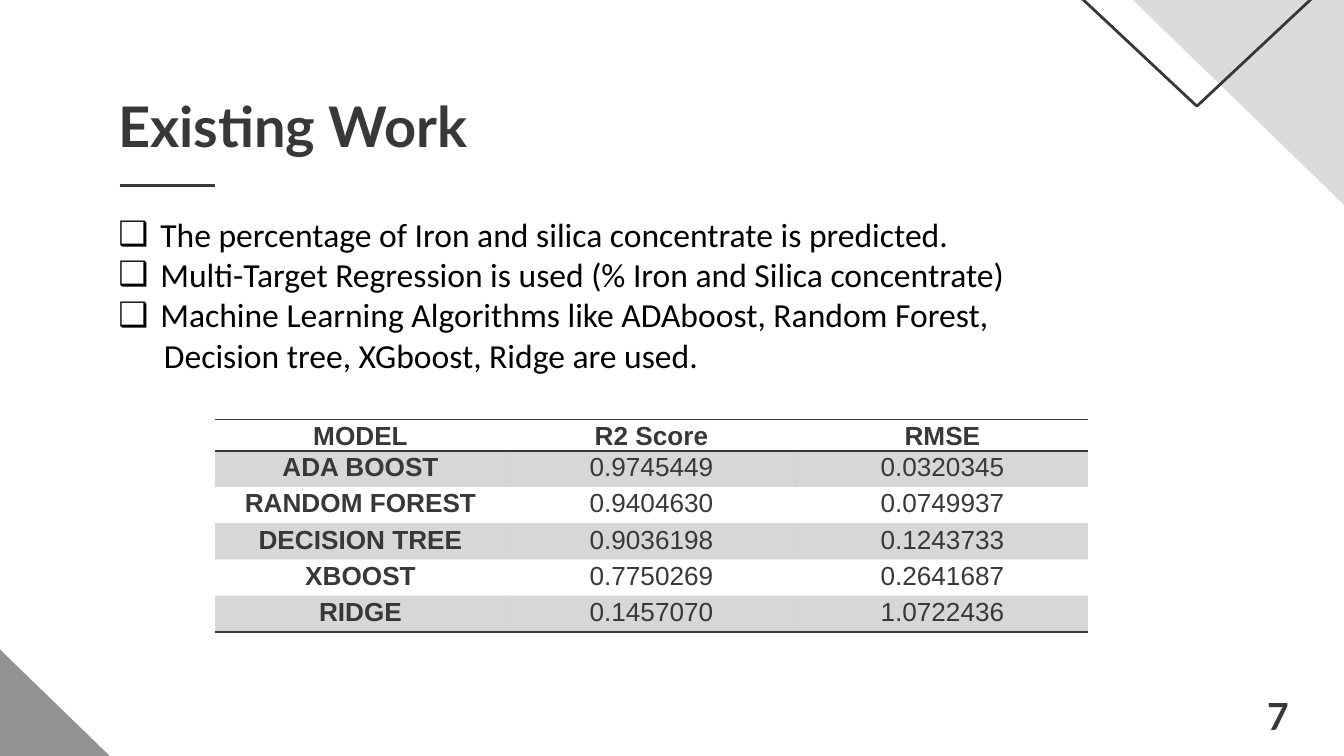
from dataclasses import dataclass
from lxml import etree
from pptx import Presentation, util as u
from pptx.dml.color import RGBColor
from pptx.enum import shapes, text
from pptx.oxml.ns import qn


@dataclass(frozen=True)
class Theme:
    dark: str = "383838"
    mid: str = "929292"
    pale: str = "DBDBDB"
    ink: str = "000000"
    head: str = "Lato"
    body: str = "Calibri"
    data: str = "Arial"
    title_size: int = 30
    number_size: int = 20
    body_size: int = 18
    data_size: int = 14
    line: float = 1.5
    rule: float = 1


T = Theme()
COLUMNS = 100
NO_STYLE = "{2D5ABB26-0587-4C30-8999-92F81FD0307C}"
BULLETS = [
    "The percentage of Iron and silica concentrate is predicted.",
    "Multi-Target Regression is used (% Iron and Silica concentrate)",
    "Machine Learning Algorithms like ADAboost, Random Forest,",
]
CONTINUATION = "Decision tree, XGboost, Ridge are used."
SCORES = [
    ("MODEL", "R2 Score", "RMSE"),
    ("ADA BOOST", "0.9745449", "0.0320345"),
    ("RANDOM FOREST", "0.9404630", "0.0749937"),
    ("DECISION TREE", "0.9036198", "0.1243733"),
    ("XBOOST", "0.7750269", "0.2641687"),
    ("RIDGE", "0.1457070", "1.0722436"),
]

prs = Presentation()
prs.slide_width, prs.slide_height = u.Pt(720), u.Pt(405)
UNIT = prs.slide_width / COLUMNS


def grid(*cells):
    return [u.Emu(round(c * UNIT)) for c in cells]


def rgb(color):
    return RGBColor.from_string(color)


def sub(parent, tag, **attrs):
    return etree.SubElement(parent, qn(tag), attrs)


def style(p, name, size, color, bold=False):
    for r in p.runs:
        r.font.name, r.font.size, r.font.bold = name, u.Pt(size), bold
        r.font.color.rgb = rgb(color)


def frame(sp, inset=1):
    tf = sp.text_frame
    tf.auto_size = text.MSO_AUTO_SIZE.NONE
    tf.vertical_anchor = text.MSO_ANCHOR.TOP
    tf.margin_left = tf.margin_right = grid(1)[0]
    tf.margin_top = tf.margin_bottom = grid(inset)[0]
    return tf


def triangle(s, box, kind, turn=0, fill=None):
    sp = s.shapes.add_shape(kind, *grid(*box))
    sp.rotation, sp.shadow.inherit = turn, False
    if fill:
        sp.fill.solid()
        sp.fill.fore_color.rgb = rgb(fill)
        sp.line.fill.background()
    else:
        sp.fill.background()
        sp.line.color.rgb, sp.line.width = rgb(T.dark), u.Pt(T.line)


def corners(s):
    kinds = shapes.MSO_SHAPE
    triangle(s, (-19.4, 29.5, 37.2, 36.1), kinds.RIGHT_TRIANGLE, fill=T.mid)
    triangle(s, (71, -12.9, 37.2, 36.1), kinds.RIGHT_TRIANGLE, 180, T.pale)
    triangle(s, (59.7, -19.6, 58.7, 27.5), kinds.ISOSCELES_TRIANGLE, 180)


def page_number(s, box, number):
    tf = frame(s.shapes.add_textbox(*grid(*box)), 0.5)
    tf.word_wrap = False
    tf.text = str(number)
    style(tf.paragraphs[0], T.head, T.number_size, T.dark, True)


def heading(s, box, title):
    x, y, w, h = box
    sp = s.shapes.title
    sp.left, sp.top, sp.width, sp.height = grid(*box)
    tf = frame(sp)
    tf.text = title
    p = tf.paragraphs[0]
    p.alignment = text.PP_ALIGN.LEFT
    style(p, T.head, T.title_size, T.dark, True)
    rule_y = y + h + 2.2
    ln = s.shapes.add_connector(shapes.MSO_CONNECTOR.STRAIGHT,
                                *grid(x + 1.1, rule_y, x + 8.2, rule_y))
    ln.line.color.rgb, ln.line.width = rgb(T.dark), u.Pt(T.line)
    sub(ln._element.spPr, "a:effectLst")


def findings(s, box, items, tail):
    sp = s.placeholders[1]
    sp.left, sp.top, sp.width, sp.height = grid(*box)
    tf = frame(sp)
    tf.text = "\n".join([*items, tail])
    for i, p in enumerate(tf.paragraphs):
        p.alignment = text.PP_ALIGN.JUSTIFY
        p.space_before = u.Pt(0)
        pPr = p._p.get_or_add_pPr()
        if i < len(items):
            indent = grid(3.13)[0]
            pPr.set("marL", str(indent))
            pPr.set("indent", str(-indent))
            sub(sub(pPr, "a:buClr"), "a:srgbClr", val=T.ink)
            sub(pPr, "a:buFont", typeface=T.data)
            sub(pPr, "a:buChar", char="❑")
        else:
            pPr.set("marL", str(grid(3.4)[0]))
            pPr.set("indent", "0")
            sub(pPr, "a:buNone")
        style(p, T.body, T.body_size, T.ink)


def border(cell, tag, index):
    ln = etree.Element(qn(tag), w=str(u.Pt(T.rule)))
    sub(sub(ln, "a:solidFill"), "a:srgbClr", val=T.dark)
    cell._tc.get_or_add_tcPr().insert(index, ln)


def score_cell(cell, value, row, col, last):
    cell.margin_left = cell.margin_right = grid(0.7)[0]
    cell.margin_top = cell.margin_bottom = 0
    cell.text = value
    p = cell.text_frame.paragraphs[0]
    p.alignment, p.line_spacing = text.PP_ALIGN.CENTER, 1.07
    style(p, T.data, T.data_size, T.dark, row == 0 or col == 0)
    if row % 2:
        cell.fill.solid()
        cell.fill.fore_color.rgb = rgb(T.dark)
        color = cell._tc.tcPr.find(".//" + qn("a:srgbClr"))
        sub(color, "a:alpha", val="20000")
    else:
        cell.fill.background()
    if row in (0, last):
        border(cell, "a:lnB", 0)
    if row == 0:
        border(cell, "a:lnT", 0)


def score_table(s, box, rows):
    tbl = s.shapes.add_table(len(rows), len(rows[0]), *grid(*box)).table
    tbl.first_row = tbl.horz_banding = False
    tbl._tbl.tblPr.find(qn("a:tableStyleId")).text = NO_STYLE
    for i, row in enumerate(rows):
        tbl.rows[i].height = grid(2.7 if i else 2.3)[0]
        for j, value in enumerate(row):
            score_cell(tbl.cell(i, j), value, i, j, len(rows) - 1)


def main():
    s = prs.slides.add_slide(prs.slide_layouts[1])
    corners(s)
    page_number(s, (93.3, 51.1, 5.5, 4.4), 7)
    heading(s, (7.8, 5.8, 80.5, 5.8), "Existing Work")
    findings(s, (7.8, 14.9, 84.1, 36.8), BULLETS, CONTINUATION)
    score_table(s, (16, 31.2, 64.95, 15.8), SCORES)
    prs.save("out.pptx")


if __name__ == "__main__":
    main()
